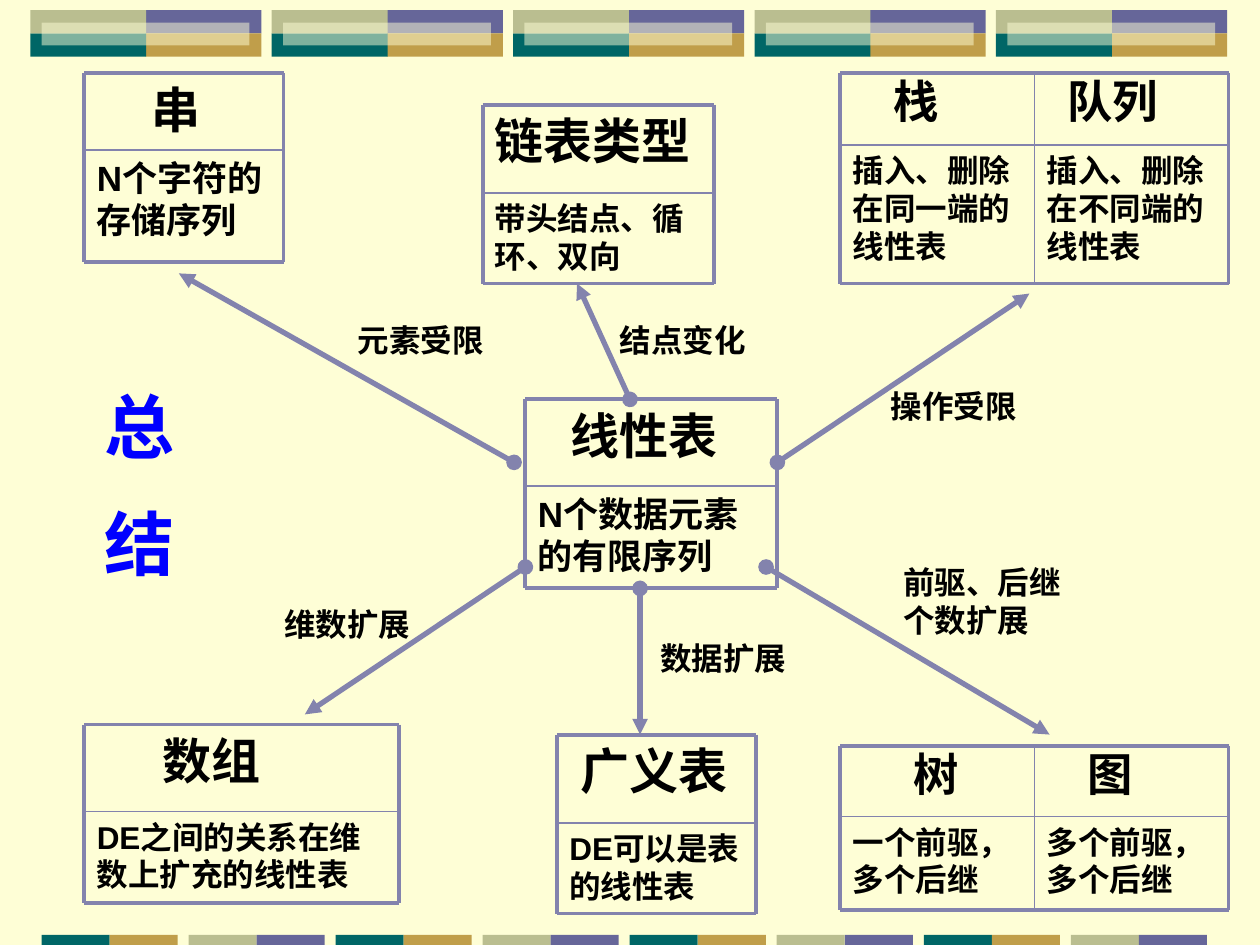
from dataclasses import dataclass

from lxml.etree import SubElement
from pptx import Presentation
from pptx.dml.color import RGBColor
from pptx.enum.lang import MSO_LANGUAGE_ID
from pptx.enum.shapes import MSO_CONNECTOR, MSO_SHAPE
from pptx.enum.text import MSO_ANCHOR, MSO_AUTO_SIZE, PP_ALIGN
from pptx.oxml.ns import qn
from pptx.util import Inches, Pt

COLORS = {
    "cream": "FEFED6", "purple": "666699", "gold": "C09E4A", "teal": "006666",
    "khaki": "BABE90", "line": "8383AD", "black": "000000", "blue": "0000FF",
}
SPACE = 0.224 / 72  # inches of indent per step and point of text size


@dataclass
class Column:
    title: str
    body: str
    steps: int  # indent of the title


@dataclass
class Card:
    left: float
    top: float
    split: float
    right: float
    bottom: float
    columns: list[Column]
    title_size: float = 28
    body_size: float = 18
    title_spacing: float = 1.0


@dataclass
class Arrow:
    start: tuple[float, float]
    end: tuple[float, float]


@dataclass
class Label:
    left: float
    top: float
    width: float
    lines: list[str]


CARDS = [
    Card(6.67, 5.92, 6.48, 9.75, 7.22,
         [Column("树", "一个前驱，多个后继", 6), Column("图", "多个前驱，多个后继", 4)],
         25.9, title_spacing=0.9),
    Card(6.67, 0.58, 1.15, 9.75, 2.25,
         [Column("栈", "插入、删除在同一端的线性表", 4),
          Column("队列", "插入、删除在不同端的线性表", 2)],
         25.9, title_spacing=0.9),
    Card(4.17, 3.17, 3.86, 6.17, 4.67,
         [Column("线性表", "N个数据元素的有限序列", 3)], body_size=20),
    Card(4.42, 5.83, 6.53, 6, 7.25, [Column("广义表", "DE可以是表的线性表", 1)]),
    Card(0.67, 0.58, 1.19, 2.25, 2.08,
         [Column("串", "N个字符的存储序列", 5)], body_size=20),
    Card(0.67, 5.75, 6.44, 3.17, 7.17,
         [Column("数组", "DE之间的关系在维数上扩充的线性表", 6)]),
    Card(3.83, 0.83, 1.53, 5.67, 2.25,
         [Column("链表类型", "带头结点、循环、双向", 0)]),
]
ARROWS = [
    Arrow((4.17, 4.5), (2.42, 5.67)), Arrow((5.08, 4.67), (5.08, 5.83)),
    Arrow((6.08, 4.5), (8.33, 5.83)), Arrow((6.17, 3.67), (8.17, 2.33)),
    Arrow((5, 3.17), (4.58, 2.25)), Arrow((4.08, 3.67), (1.42, 2.17)),
]
LABELS = [
    Label(7.07, 4.42, 1.45, ["前驱、后继", "个数扩展"]),
    Label(4.82, 2.5, 1.2, ["结点变化"]),
    Label(6.97, 3.02, 1.2, ["操作受限"]),
    Label(2.74, 2.5, 1.2, ["元素受限"]),
    Label(2.16, 4.75, 1.2, ["维数扩展"]),
    Label(5.14, 5.02, 1.2, ["数据扩展"]),
]

prs = Presentation()
prs.slide_width, prs.slide_height = Inches(10), Inches(7.5)
s = prs.slides.add_slide(prs.slide_layouts[5])
s.background.fill.solid()
s.background.fill.fore_color.rgb = RGBColor.from_string(COLORS["cream"])


def add_bar(x: float, y: float, w: float, h: float, color: str,
            alpha: int | None = None) -> None:
    sp = s.shapes.add_shape(MSO_SHAPE.RECTANGLE, Inches(x), Inches(y), Inches(w), Inches(h))
    sp.shadow.inherit = False
    sp.line.fill.background()
    sp.fill.solid()
    sp.fill.fore_color.rgb = RGBColor.from_string(COLORS[color])
    if alpha is not None:
        clr = sp.fill._xPr.find(".//" + qn("a:srgbClr"))
        SubElement(clr, qn("a:alpha")).set("val", str(alpha * 1000))


def add_line(start: tuple[float, float], end: tuple[float, float], width: float,
             arrow: bool = False) -> None:
    cn = s.shapes.add_connector(MSO_CONNECTOR.STRAIGHT, *map(Inches, start + end))
    cn.line.width = Pt(width)
    cn.line.color.rgb = RGBColor.from_string(COLORS["line"])
    if arrow:
        ln = cn.line._get_or_add_ln()
        SubElement(ln, qn("a:headEnd")).set("type", "oval")
        SubElement(ln, qn("a:tailEnd")).set("type", "triangle")
    SubElement(cn._element.spPr, qn("a:effectLst"))


def add_run(p, text: str, size: float, font: str, color: str = "black"):
    r = p.add_run()
    r.text = text
    r.font.size, r.font.bold, r.font.name = Pt(size), True, font
    r.font.language_id = MSO_LANGUAGE_ID.SIMPLIFIED_CHINESE
    r.font.color.rgb = RGBColor.from_string(COLORS[color])
    return r


def add_cell(x: float, y: float, w: float, h: float, text: str, size: float,
             steps: int = 0, spacing: float = 1.0) -> None:
    tf = s.shapes.add_textbox(Inches(x), Inches(y), Inches(w), Inches(h)).text_frame
    tf.word_wrap = True
    p = tf.paragraphs[0]
    p.space_before, p.line_spacing = Pt(size / 4), spacing
    if steps:
        p._p.get_or_add_pPr().set("marL", str(Inches(steps * size * SPACE)))
    add_run(p, text, size, "Arial")


def add_card(c: Card) -> None:
    w = (c.right - c.left) / len(c.columns)
    for i, col in enumerate(c.columns):
        x = c.left + i * w
        add_cell(x, c.top, w, c.split - c.top, col.title, c.title_size,
                 col.steps, c.title_spacing)
        add_cell(x, c.split, w, c.bottom - c.split, col.body, c.body_size)
    for y in (c.top, c.split, c.bottom):
        add_line((c.left, y), (c.right, y), 1 if y == c.split else 2.25)
    for i in range(len(c.columns) + 1):
        x = c.left + i * w
        add_line((x, c.top), (x, c.bottom), 2.25 if i in (0, len(c.columns)) else 1)


def add_label(lb: Label) -> None:
    tf = s.shapes.add_textbox(Inches(lb.left), Inches(lb.top), Inches(lb.width),
                              Inches(0.1 + 0.3 * len(lb.lines))).text_frame
    tf.word_wrap = False
    tf.auto_size = MSO_AUTO_SIZE.SHAPE_TO_FIT_TEXT
    for i, line in enumerate(lb.lines):
        p = tf.paragraphs[0] if i == 0 else tf.add_paragraph()
        add_run(p, line, 18, "Times New Roman")


# Top band: five four-colour tiles, each with a pale strip
for i in range(5):
    x = 0.24 + i * 1.916
    for dx, y, color in ((0.915, 0.08, "purple"), (0.915, 0.265, "gold"),
                         (0, 0.265, "teal"), (0, 0.08, "khaki")):
        add_bar(x + dx, y, 0.92, 0.185, color)
    add_bar(x + 0.09, 0.18, 1.65, 0.18, "cream", alpha=50)

# Bottom band: eight two-colour tiles in alternating pairs
for i in range(8):
    x = 0.33 + i * 1.167
    for j, color in enumerate((("teal", "gold"), ("khaki", "purple"))[i % 2]):
        add_bar(x + j * 0.54, 7.42, 0.54, 0.08, color)

# Cards, arrows and their labels
for card in CARDS:
    add_card(card)
for a in ARROWS:
    add_line(a.start, a.end, 3, arrow=True)
for label in LABELS:
    add_label(label)

# Vertical title, tall enough for both characters and the gap in one column
title = s.shapes.title
title.left, title.top, title.width, title.height = map(Inches, (0.61, 3.05, 0.86, 1.75))
tf = title.text_frame
tf.word_wrap = True
tf.auto_size = MSO_AUTO_SIZE.NONE
tf.vertical_anchor = MSO_ANCHOR.TOP
tf.margin_left = tf.margin_right = Inches(0.05)
tf.margin_top, tf.margin_bottom = Inches(0.06), 0
tf._txBody.bodyPr.set("vert", "eaVert")
p = tf.paragraphs[0]
p.alignment = PP_ALIGN.LEFT
r = add_run(p, "总", 40, "Times New Roman", "blue")
r.font._element.set("spc", "2700")
add_run(p, "结", 40, "Times New Roman", "blue")

prs.save("out.pptx")
